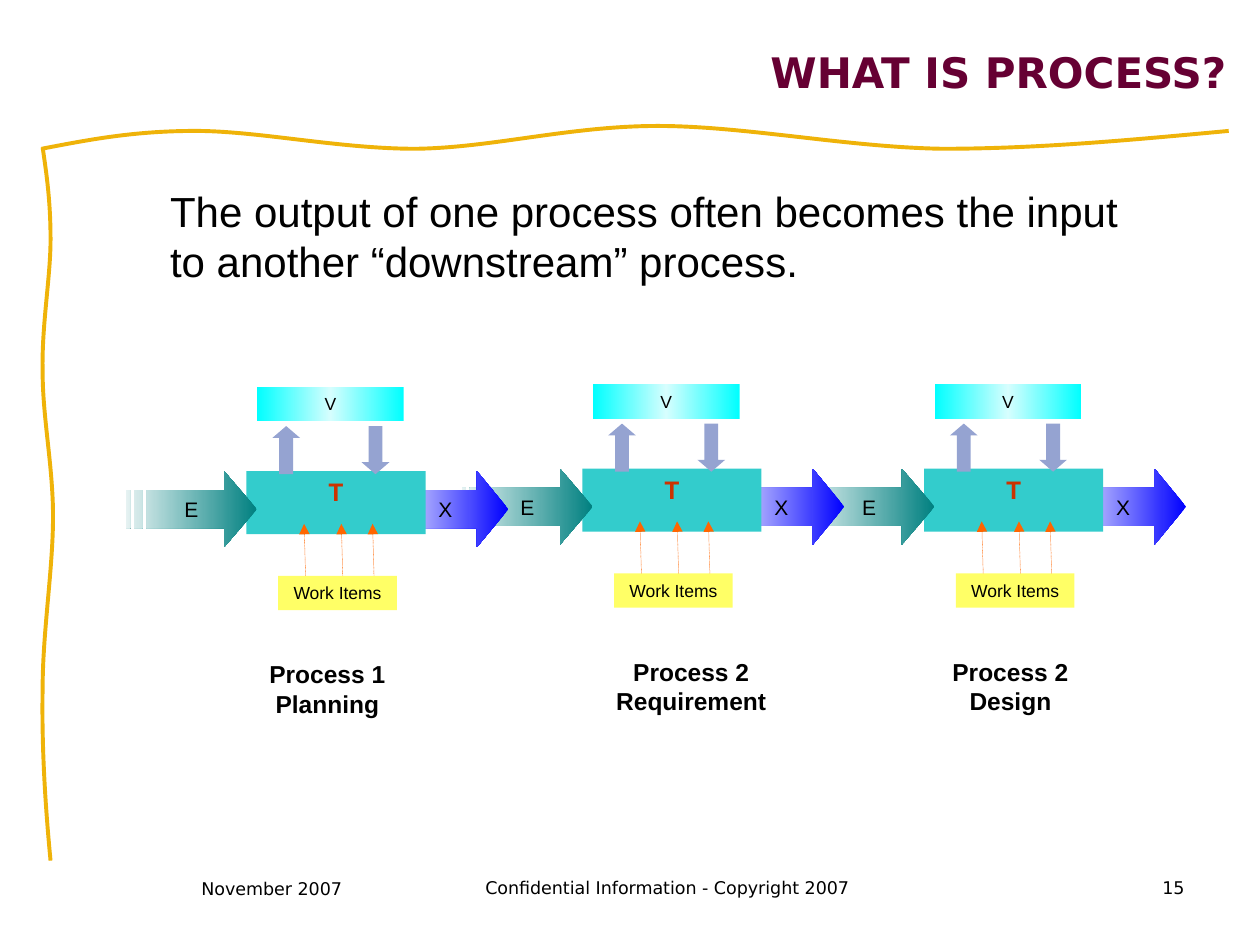
"""Builds a slide showing three chained processes, each feeding the next."""
from copy import deepcopy

from lxml import etree
from pptx import Presentation
from pptx.dml.color import RGBColor
from pptx.enum.dml import MSO_LINE
from pptx.enum.shapes import MSO_CONNECTOR, MSO_SHAPE
from pptx.enum.text import MSO_ANCHOR, PP_ALIGN
from pptx.oxml.ns import qn
from pptx.util import Cm, Pt

RECTANGLE, UP, DOWN = MSO_SHAPE.RECTANGLE, MSO_SHAPE.UP_ARROW, MSO_SHAPE.DOWN_ARROW
STRAIGHT, DOTTED = MSO_CONNECTOR.STRAIGHT, MSO_LINE.ROUND_DOT
LEFT, CENTER, RIGHT = PP_ALIGN.LEFT, PP_ALIGN.CENTER, PP_ALIGN.RIGHT
TOP, MIDDLE = MSO_ANCHOR.TOP, MSO_ANCHOR.MIDDLE

BLACK = RGBColor(0x00, 0x00, 0x00)
GOLD = RGBColor(0xEF, 0xB3, 0x09)
PLUM = RGBColor(0x66, 0x00, 0x33)
BLUE = RGBColor(0x00, 0x00, 0xFF)
PALE_BLUE = RGBColor(0xF6, 0xF6, 0xFE)
TEAL = RGBColor(0x00, 0x80, 0x80)
PALE_TEAL = RGBColor(0xE6, 0xF2, 0xF2)
CYAN = RGBColor(0x00, 0xFF, 0xFF)
PALE_CYAN = RGBColor(0xD6, 0xFE, 0xFE)
TURQUOISE = RGBColor(0x33, 0xCC, 0xCC)
YELLOW = RGBColor(0xFF, 0xFF, 0x66)
LAVENDER = RGBColor(0x95, 0xA3, 0xD1)
RED = RGBColor(0xCC, 0x33, 0x00)
ORANGE = RGBColor(0xFF, 0x66, 0x00)


def write(shape, lines, size, font="Arial", colour=BLACK, bold=False,
          alignment=CENTER, anchor=MIDDLE, wrap=True):
    frame = shape.text_frame
    frame.word_wrap = wrap
    frame.vertical_anchor = anchor
    for index, line in enumerate(lines):
        paragraph = frame.add_paragraph() if index else frame.paragraphs[0]
        paragraph.alignment = alignment
        run = paragraph.add_run()
        run.text = line
        run.font.size = Pt(size)
        run.font.name = font
        run.font.bold = bold
        run.font.color.rgb = colour


def paint(shape, colours):
    shape.shadow.inherit = False
    shape.line.fill.background()
    if len(colours) == 1:
        shape.fill.solid()
        shape.fill.fore_color.rgb = colours[0]
        return
    shape.fill.gradient()
    shape.fill.gradient_angle = 180
    stop_list = shape._element.spPr.find(".//" + qn("a:gsLst"))
    for _ in colours[2:]:
        stop_list.append(deepcopy(stop_list[0]))
    for index, (stop, colour) in enumerate(zip(shape.fill.gradient_stops, colours)):
        stop.color.rgb = colour
        stop.position = index / (len(colours) - 1)


presentation = Presentation()
presentation.slide_width = Cm(25.4)
presentation.slide_height = Cm(19.05)
slide = presentation.slides.add_slide(presentation.slide_layouts[6])

waves = [
    [(0.84, 3), (1.78, 2.82), (2.69, 2.64), (3.94, 2.64), (5.21, 2.64), (6.83, 3),
     (8.38, 3), (9.93, 2.98), (11.48, 2.54), (13.26, 2.54), (15.01, 2.54),
     (17.09, 2.97), (19, 3), (20.93, 3), (22.83, 2.82), (24.77, 2.64)],
    [(0.86, 2.97), (0.94, 3.51), (1.02, 4.06), (1.02, 4.83), (1.02, 5.59),
     (0.84, 6.55), (0.86, 7.49), (0.86, 8.43), (1.07, 9.4), (1.07, 10.41),
     (1.07, 11.48), (0.86, 12.73), (0.86, 13.89), (0.84, 15.04), (0.91, 16.21),
     (1.02, 17.35)],
]
for wave in waves:
    points = [(Cm(x), Cm(y)) for x, y in wave]
    builder = slide.shapes.build_freeform(*points[0])
    builder.add_line_segments(points[1:], close=False)
    shape = builder.convert_to_shape()
    shape.shadow.inherit = False
    shape.fill.background()
    shape.line.color.rgb = GOLD
    shape.line.width = Pt(2.25)
    outline = shape._element.find(".//" + qn("a:path"))
    segments = outline.findall(qn("a:lnTo"))
    for start in range(0, len(segments), 3):
        curve = etree.SubElement(outline, qn("a:cubicBezTo"))
        for segment in segments[start:start + 3]:
            curve.append(segment[0])
            outline.remove(segment)

striped_arrow = [
    [(5 / 32, 0.25), (0.75, 0.25), (0.75, 0), (1, 0.5), (0.75, 1), (0.75, 0.75),
     (5 / 32, 0.75)],
    [(0, 0.25), (1 / 32, 0.25), (1 / 32, 0.75), (0, 0.75)],
    [(1 / 16, 0.25), (1 / 8, 0.25), (1 / 8, 0.75), (1 / 16, 0.75)],
]
exit_arrow = ("X", 2.74, 2.54, [BLUE, PALE_BLUE])
entry_arrow = ("E", -2.43, 2.64, [TEAL, PALE_TEAL])
arrow_height = 1.53
blocks = [
    (RECTANGLE, 0.21, -1.7, 2.96, 0.69, [CYAN, PALE_CYAN, CYAN], "V"),
    (RECTANGLE, 0, 0, 3.61, 1.27, [TURQUOISE], "T"),
    (RECTANGLE, 0.64, 2.11, 2.39, 0.69, [YELLOW], "Work Items"),
    (UP, 0.52, -0.91, 0.56, 0.97, [LAVENDER], None),
    (DOWN, 2.32, -0.91, 0.56, 0.97, [LAVENDER], None),
]
stages = [
    (18.63, 9.45, ["Process 2", "Design"], 18.95, 2.84),
    (11.74, 9.45, ["Process 2", "Requirement"], 12.17, 3.53),
    (4.97, 9.5, ["Process 1", "Planning"], 5.18, 2.84),
]
for left, top, caption, caption_left, caption_width in stages:
    group = slide.shapes.add_group_shape()
    flow_arrows = []
    for letter, offset, width, colours in (exit_arrow, entry_arrow):
        contours = [[(Cm(left + offset + x * width), Cm(top + y * arrow_height))
                     for x, y in contour] for contour in striped_arrow]
        builder = group.shapes.build_freeform(*contours[0][0])
        builder.add_line_segments(contours[0][1:])
        for contour in contours[1:]:
            builder.move_to(*contour[0])
            builder.add_line_segments(contour[1:])
        shape = builder.convert_to_shape()
        paint(shape, colours)
        write(shape, [letter], 12)
        flow_arrows.append(shape)

    for kind, x, y, width, height, colours, label in blocks:
        shape = group.shapes.add_shape(
            kind, Cm(left + x), Cm(top + y), Cm(width), Cm(height))
        paint(shape, colours)
        if label == "T":
            write(shape, [label], 14, "Roboto", RED, True, anchor=TOP)
        elif label:
            write(shape, [label], 10)
        else:
            shape.adjustments[1] = 0.43

    for x in (1.16, 1.91, 2.54):
        connector = group.shapes.add_connector(
            STRAIGHT, Cm(left + x), Cm(top + 1.06), Cm(left + x + 0.03), Cm(top + 2.11))
        connector.line.color.rgb = ORANGE
        connector.line.width = Pt(0.25)
        connector.line.dash_style = DOTTED
        etree.SubElement(connector.line._get_or_add_ln(), qn("a:headEnd"), type="triangle")
        etree.SubElement(connector._element.spPr, qn("a:effectLst"))

    group._element.append(flow_arrows[1]._element)
    caption_box = slide.shapes.add_textbox(
        Cm(caption_left), Cm(top + 3.67), Cm(caption_width), Cm(1.45))
    write(caption_box, caption, 14, bold=True, anchor=TOP, wrap=False)

title = slide.shapes.add_textbox(Cm(3.38), Cm(0.36), Cm(21.59), Cm(2.18))
write(title, ["WHAT IS PROCESS?"], 24, "DejaVu Sans", PLUM, True, RIGHT)

statement = slide.shapes.add_textbox(Cm(3.18), Cm(3.61), Cm(19.89), Cm(2.29))
write(statement, ["The output of one process often becomes the input to another "
                  "“downstream” process."], 24, alignment=LEFT, anchor=TOP)

footers = [
    ("Confidential Information - Copyright 2007", 9.32, 17.55, 8.26, CENTER),
    ("15", 18.85, 17.55, 5.28, RIGHT),
    ("November 2007", 3.81, 17.58, 3.38, LEFT),
]
for text, left, top, width, alignment in footers:
    footer = slide.shapes.add_textbox(Cm(left), Cm(top), Cm(width), Cm(1.27))
    write(footer, [text], 10, "DejaVu Sans", alignment=alignment, anchor=TOP)

presentation.save("out.pptx")
